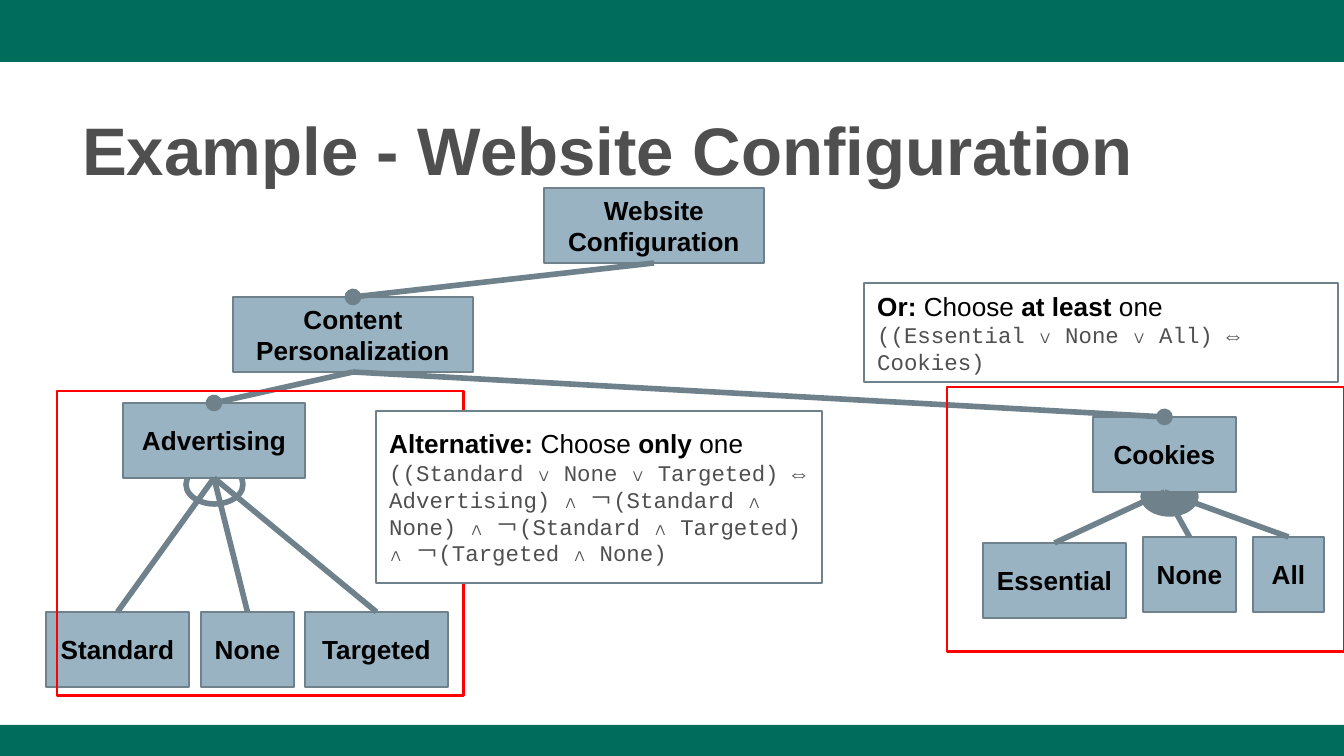
from lxml import etree
from pptx import Presentation
from pptx import util as u
from pptx.dml.color import RGBColor
from pptx.enum import shapes, text
from pptx.oxml.ns import qn

SCALE = 9144000 / 1344
SLATE, BLUE, GREEN, RED = "6F828C", "99B3C2", "006C5C", "FF0000"
GREY, BLACK, WHITE = "4F4F4F", "000000", "FFFFFF"

deck = Presentation()
deck.slide_width = u.Emu(round(1344 * SCALE))
deck.slide_height = u.Emu(round(756 * SCALE))
page = deck.slides.add_slide(deck.slide_layouts[6])


def add_box(place, fill=None, line=None, weight=0.75, kind=shapes.MSO_SHAPE.RECTANGLE):
    box = page.shapes.add_shape(kind, *[u.Emu(round(n * SCALE)) for n in place])
    box.shadow.inherit = False
    if fill:
        box.fill.solid()
        box.fill.fore_color.rgb = RGBColor.from_string(fill)
    else:
        box.fill.background()
    if line:
        box.line.color.rgb = RGBColor.from_string(line)
        box.line.width = u.Pt(weight)
    else:
        box.line.fill.background()
    frame = box.text_frame
    frame.word_wrap = True
    frame.vertical_anchor = text.MSO_ANCHOR.MIDDLE
    frame.margin_left = frame.margin_right = u.Inches(0.1)
    frame.margin_top = frame.margin_bottom = u.Inches(0.1)
    return box


def add_span(para, words, size, color, bold=False, font="Arial"):
    span = para.add_run()
    span.text = words
    span.font.name = font
    span.font.size = u.Pt(size)
    span.font.bold = bold
    span.font.color.rgb = RGBColor.from_string(color)


for top, height in [(0, 62), (725, 31)]:
    add_box((0, top, 1344, height), GREEN)

oval = shapes.MSO_SHAPE.OVAL
add_box((186, 465, 57, 39), line=SLATE, weight=3, kind=oval)
add_box((1141, 477, 57, 39), SLATE, SLATE, kind=oval)

title = page.shapes.add_textbox(*[u.Emu(round(n * SCALE)) for n in (69, 90, 1208, 98)])
title.text_frame.word_wrap = True
title.text_frame.margin_top = u.Emu(round(12 * SCALE))
title.text_frame.margin_bottom = 0
para = title.text_frame.paragraphs[0]
para.line_spacing = 1.08
add_span(para, "Example - Website Configuration", 36, GREY, True)

features = [
    ("root", "Website Configuration", 544, 188, 220),
    ("content", "Content Personalization", 233, 297, 240),
    ("cookies", "Cookies", 1093, 417, 143),
    ("advertising", "Advertising", 123, 403, 182),
    ("all", "All", 1253, 537, 71),
    ("no cookies", "None", 1143, 537, 93),
    ("essential", "Essential", 983, 543, 143),
    ("targeted", "Targeted", 305, 612, 143),
    ("no adverts", "None", 201, 612, 93),
    ("standard", "Standard", 46, 612, 143),
]
boxes = {}
for key, label, left, top, width in features:
    boxes[key] = add_box((left, top, width, 75), BLUE, SLATE)
    para = boxes[key].text_frame.paragraphs[0]
    para.alignment = text.PP_ALIGN.CENTER
    add_span(para, label, 14, BLACK, True)

branches = [
    ("root", ["content"], True),
    ("content", ["advertising", "cookies"], True),
    ("cookies", ["all", "no cookies", "essential"], False),
    ("advertising", ["targeted", "no adverts", "standard"], False),
]
for parent, children, mandatory in branches:
    for child in children:
        link = page.shapes.add_connector(shapes.MSO_CONNECTOR.STRAIGHT, 0, 0, 0, 0)
        link.begin_connect(boxes[parent], 2)
        link.end_connect(boxes[child], 0)
        link.line.color.rgb = RGBColor.from_string(SLATE)
        link.line.width = u.Pt(3)
        if mandatory:
            etree.SubElement(link.line._get_or_add_ln(), qn("a:tailEnd"), type="oval")
        etree.SubElement(link._element.spPr, qn("a:effectLst"))

notes = [
    ((864, 283, 474, 99), (947, 387, 397, 265),
     [("Or:", True), (" Choose ", False), ("at least", True), (" one", False)],
     "((Essential ∨ None ∨ All) ⇔ Cookies)"),
    ((376, 411, 446, 172), (57, 391, 407, 305),
     [("Alternative:", True), (" Choose ", False), ("only ", True), ("one", False)],
     "((Standard ∨ None ∨ Targeted) ⇔ Advertising) ∧ ￢(Standard ∧ None) ∧ "
     "￢(Standard ∧ Targeted) ∧ ￢(Targeted ∧ None)"),
]
for note_place, group_place, heading, formula in notes:
    add_box(group_place, line=RED, weight=1.5)
    frame = add_box(note_place, WHITE, SLATE).text_frame
    para = frame.paragraphs[0]
    para.alignment = text.PP_ALIGN.LEFT
    for words, bold in heading:
        add_span(para, words, 14, BLACK, bold)
    para = frame.add_paragraph()
    para.alignment = text.PP_ALIGN.LEFT
    add_span(para, formula, 12, GREY, font="Courier New")

deck.save("out.pptx")
